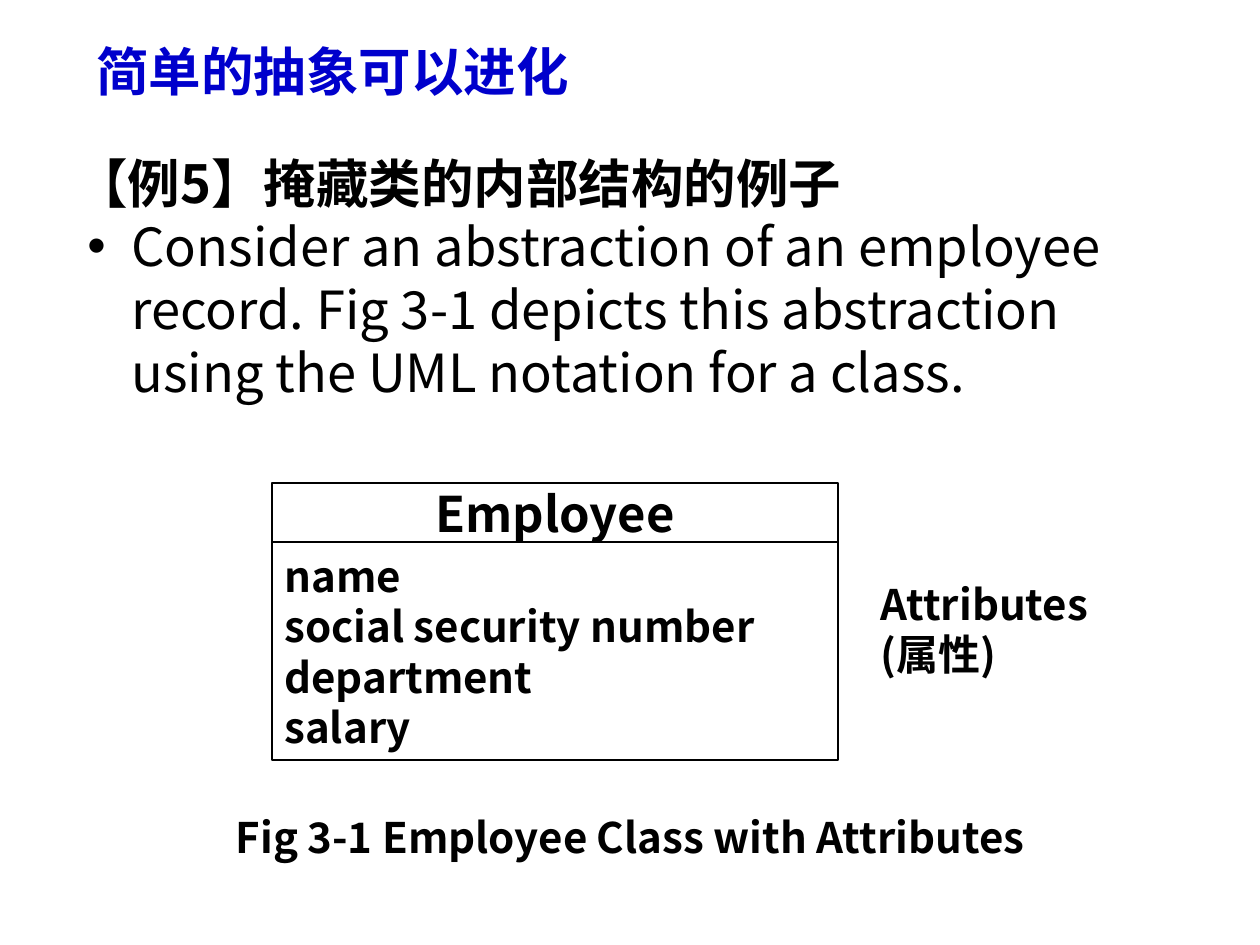
from lxml import etree
from pptx import Presentation
from pptx.dml.color import RGBColor
from pptx.enum.shapes import MSO_SHAPE
from pptx.enum.text import MSO_ANCHOR, PP_ALIGN
from pptx.oxml.ns import qn
from pptx.util import Emu, Pt

RECTANGLE = MSO_SHAPE.RECTANGLE
TOP, MIDDLE = MSO_ANCHOR.TOP, MSO_ANCHOR.MIDDLE
LEFT, CENTER = PP_ALIGN.LEFT, PP_ALIGN.CENTER

PIXELS_PER_INCH = 126
FONT = "Noto Sans CJK SC"
COLORS = {"title": "0000CC", "text": "000000", "line": "000000", "box": "FFFFFF"}
BULLET_MARGIN, BULLET_HANG = 56, 44


def px(length):
    return Emu(round(length * 914400 / PIXELS_PER_INCH))


def color(name):
    return RGBColor.from_string(COLORS[name])


def add_bullet(paragraph):
    properties = paragraph._p.get_or_add_pPr()
    properties.set("marL", str(px(BULLET_MARGIN)))
    properties.set("indent", str(-px(BULLET_HANG)))
    etree.SubElement(properties, qn("a:buFont")).set("typeface", "Arial")
    etree.SubElement(properties, qn("a:buChar")).set("char", "•")


def write_paragraph(paragraph, text, size, bold=True, color_name="text", **formats):
    for name, value in formats.items():
        setattr(paragraph, name, value)
    run = paragraph.add_run()
    run.text = text
    for name, value in {"size": Pt(size), "bold": bold, "name": FONT}.items():
        setattr(run.font, name, value)
    run.font.color.rgb = color(color_name)
    # Chinese characters take the East Asian typeface
    etree.SubElement(run._r.get_or_add_rPr(), qn("a:ea")).set("typeface", FONT)


def set_frame(shape, anchor):
    frame = shape.text_frame
    frame.word_wrap = True
    frame.vertical_anchor = anchor
    return frame


def add_text(slide, bounds, text, size, **formats):
    shape = slide.shapes.add_textbox(*map(px, bounds))
    frame = set_frame(shape, TOP)
    write_paragraph(frame.paragraphs[0], text, size, **formats)
    return frame


def add_compartment(group, bounds, lines, size, alignment):
    shape = group.shapes.add_shape(RECTANGLE, *map(px, bounds))
    shape.shadow.inherit = False
    shape.fill.solid()
    shape.fill.fore_color.rgb = color("box")
    shape.line.color.rgb = color("line")
    shape.line.width = Pt(0.75)
    frame = set_frame(shape, MIDDLE)
    for index, line in enumerate(lines):
        paragraph = frame.add_paragraph() if index else frame.paragraphs[0]
        write_paragraph(paragraph, line, size, alignment=alignment)


def add_class(slide, left, top, width, name, name_height, attributes, attributes_height):
    group = slide.shapes.add_group_shape()
    add_compartment(group, (left, top, width, name_height), [name], 28, CENTER)
    add_compartment(group, (left, top + name_height, width, attributes_height),
                    attributes, 24, LEFT)


def main():
    presentation = Presentation()
    presentation.slide_width = px(1260)
    presentation.slide_height = px(945)
    slide = presentation.slides.add_slide(presentation.slide_layouts[6])

    # Title
    add_text(slide, (84, 45, 517, 63), "简单的抽象可以进化", 30,
             color_name="title", line_spacing=0.8)

    # Example heading and its bullet
    body = add_text(slide, (63, 145, 1134, 268), "【例5】掩藏类的内部结构的例子", 30)
    bullet = body.add_paragraph()
    add_bullet(bullet)
    write_paragraph(bullet, "Consider an abstraction of an employee record. Fig 3-1 depicts "
                    "this abstraction using the UML notation for a class.", 30, bold=False)

    # Class diagram
    add_class(slide, 272, 483, 566, "Employee", 59,
              ["name", "social security number", "department", "salary"], 218)
    add_text(slide, (868, 572, 258, 113), "Attributes (属性)", 24)

    # Caption
    add_text(slide, (63, 805, 1134, 64), "Fig 3-1 Employee Class with Attributes", 24,
             alignment=CENTER)

    presentation.save("out.pptx")


if __name__ == "__main__":
    main()
